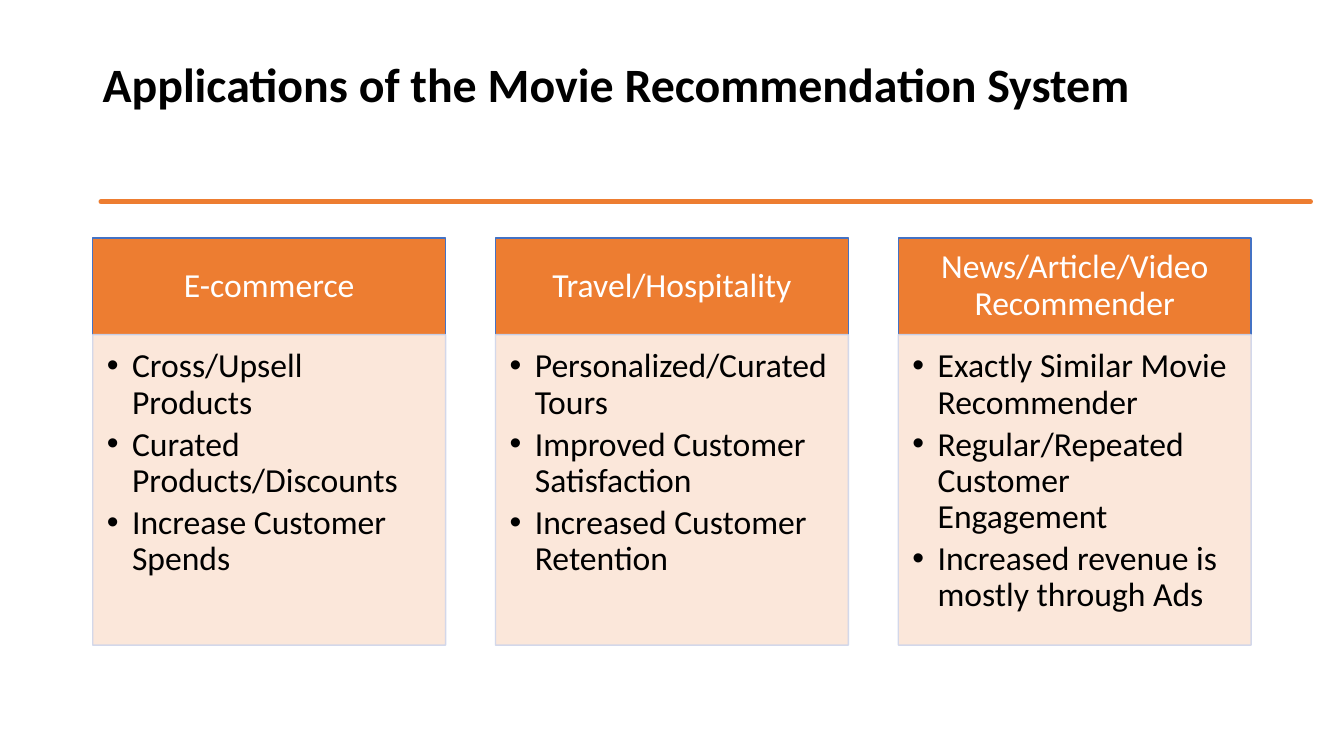
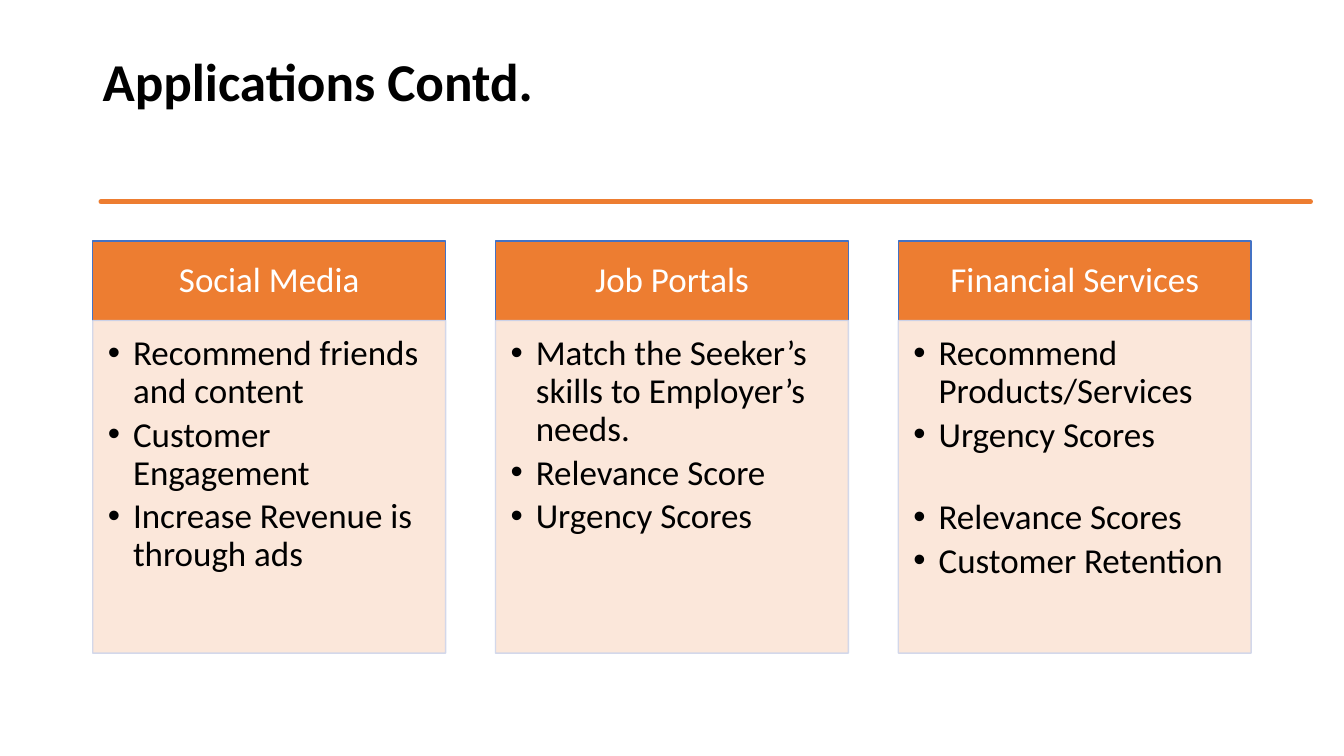
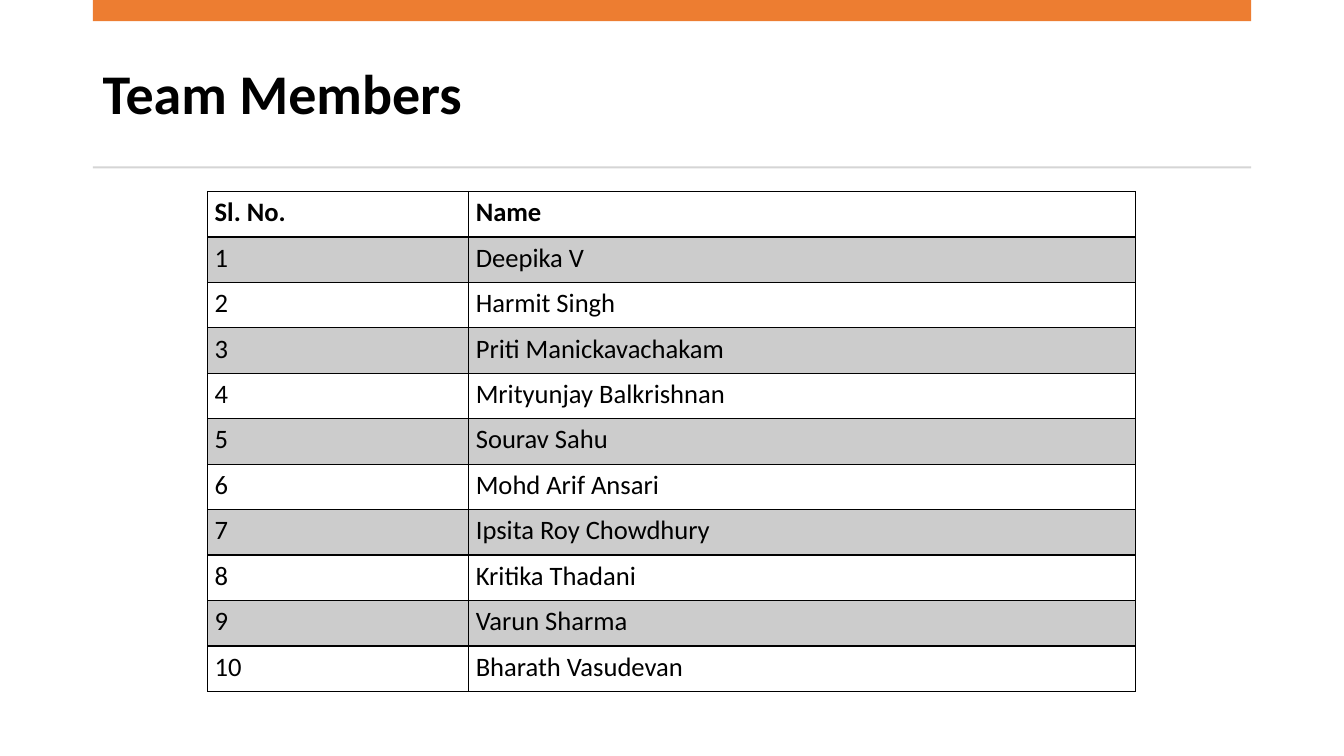
import dataclasses
import typing

import lxml.etree
import pptx
import pptx.dml.color
import pptx.enum.shapes
import pptx.enum.text
import pptx.oxml.ns
import pptx.util

Inches = pptx.util.Inches
Pt = pptx.util.Pt
Align = pptx.enum.text.PP_ALIGN
Anchor = pptx.enum.text.MSO_ANCHOR
qn = pptx.oxml.ns.qn


# Shared look
@dataclasses.dataclass(frozen=True)
class Theme:
    font: str = "Calibri"
    ink: str = "000000"
    white: str = "FFFFFF"
    accent: str = "ED7D31"
    header_edge: str = "4472C4"
    panel: str = "FBE5D6"
    panel_edge: str = "CFD5EA"
    rule: str = "D5D5D5"
    team_title_size: float = 40
    table_size: float = 19
    line_spacing: float = 0.9
    left: float = 0.92
    width: float = 11.49


THEME = Theme()


class Box(typing.NamedTuple):
    left: float
    top: float
    width: float
    height: float

    def lengths(self) -> list[int]:
        return [Inches(value) for value in self]


class Bullet(typing.NamedTuple):
    text: str
    lines_after: int = 0


@dataclasses.dataclass(frozen=True)
class Card:
    heading: str
    bullets: list[Bullet]


@dataclasses.dataclass(frozen=True)
class CardSlide:
    title: str
    title_size: float
    card_size: float
    top: float
    header_height: float
    panel_height: float
    padding: tuple[float, float, float, float]
    cards: list[Card]


# Content
APPLICATIONS = CardSlide(
    "Applications of the Movie Recommendation System", 34.2, 24, 2.36, 0.96, 3.08,
    (0.14, 0.14, 0.19, 0.21),
    [
        Card("E-commerce", [
            Bullet("Cross/Upsell Products"),
            Bullet("Curated Products/Discounts"),
            Bullet("Increase Customer Spends"),
        ]),
        Card("Travel/Hospitality", [
            Bullet("Personalized/Curated Tours"),
            Bullet("Improved Customer Satisfaction"),
            Bullet("Increased Customer Retention"),
        ]),
        Card("News/Article/Video Recommender", [
            Bullet("Exactly Similar Movie Recommender"),
            Bullet("Regular/Repeated Customer Engagement"),
            Bullet("Increased revenue is mostly through Ads"),
        ]),
    ],
)
MORE_APPLICATIONS = CardSlide(
    "Applications Contd.", 38, 25, 2.39, 0.79, 3.3,
    (0.15, 0.15, 0.19, 0.22),
    [
        Card("Social Media", [
            Bullet("Recommend friends and content"),
            Bullet("Customer Engagement"),
            Bullet("Increase Revenue is through ads"),
        ]),
        Card("Job Portals", [
            Bullet("Match the Seeker’s skills to Employer’s needs."),
            Bullet("Relevance Score"),
            Bullet("Urgency Scores"),
        ]),
        Card("Financial Services", [
            Bullet("Recommend Products/Services"),
            Bullet("Urgency Scores", lines_after=1),
            Bullet("Relevance Scores"),
            Bullet("Customer Retention"),
        ]),
    ],
)
MEMBERS = [
    "Deepika V", "Harmit Singh", "Priti Manickavachakam", "Mrityunjay Balkrishnan",
    "Sourav Sahu", "Mohd Arif Ansari", "Ipsita Roy Chowdhury", "Kritika Thadani",
    "Varun Sharma", "Bharath Vasudevan",
]

# Hand-drawn divider: upper edge left to right, lower edge back again
BRUSH_UPPER = [
    (0.73, 1.83), (0.95, 1.82), (1.24, 1.83), (1.6, 1.84), (1.98, 1.83), (2.3, 1.82),
    (2.84, 1.83), (3.61, 1.83), (3.95, 1.82), (4.25, 1.81), (4.55, 1.83), (4.85, 1.85),
    (5.2, 1.83), (5.55, 1.82), (5.8, 1.84), (6.46, 1.83), (7.1, 1.82), (7.44, 1.83),
    (7.75, 1.84), (8.06, 1.83), (8.35, 1.82), (8.68, 1.83), (9.2, 1.82), (9.43, 1.83),
    (9.75, 1.84), (10.29, 1.83), (11.15, 1.83), (11.45, 1.82), (11.86, 1.83), (12.6, 1.83),
]
BRUSH_LOWER = [
    (12.6, 1.85), (12.3, 1.86), (11.74, 1.85), (11.36, 1.85), (10.9, 1.87), (10.38, 1.85),
    (9.65, 1.86), (9.13, 1.85), (8.0, 1.85), (7.6, 1.86), (7.11, 1.85), (6.5, 1.86),
    (5.87, 1.85), (5.35, 1.86), (5.0, 1.85), (4.4, 1.86), (4.0, 1.85), (3.64, 1.86),
    (2.78, 1.85), (2.2, 1.87), (1.8, 1.85), (1.5, 1.85), (1.15, 1.84), (0.73, 1.85),
]


def rgb(color: str) -> pptx.dml.color.RGBColor:
    return pptx.dml.color.RGBColor.from_string(color)


def line_height(size: float) -> float:
    """Height in points of one line of the theme font."""
    return size * 1.22 * THEME.line_spacing


def set_alpha(properties, percent: int) -> None:
    """Make the solid fill directly under the given element translucent."""
    color = properties.find(qn("a:solidFill")).find(qn("a:srgbClr"))
    lxml.etree.SubElement(color, qn("a:alpha"), val=str(percent * 1000))


def write_text(frame, items: list[Bullet], *, size: float, color: str = THEME.ink,
               bold: bool = False, align=Align.LEFT, anchor=Anchor.TOP,
               spacing: float = THEME.line_spacing, bulleted: bool = False,
               insets: tuple[float, float, float, float] = (0.1, 0.05, 0.1, 0.05)) -> None:
    frame.word_wrap = True
    frame.vertical_anchor = anchor
    (frame.margin_left, frame.margin_top,
     frame.margin_right, frame.margin_bottom) = map(Inches, insets)
    for index, item in enumerate(items):
        paragraph = frame.add_paragraph() if index else frame.paragraphs[0]
        paragraph.alignment = align
        paragraph.line_spacing = spacing
        run = paragraph.add_run()
        run.text = item.text
        run.font.name = THEME.font
        run.font.size = Pt(size)
        run.font.bold = bold
        run.font.color.rgb = rgb(color)
        if bulleted:
            paragraph.space_after = Pt(0.17 * size + item.lines_after * line_height(size))
            properties = paragraph._p.get_or_add_pPr()
            properties.set("marL", str(Inches(0.25)))
            properties.set("indent", str(-Inches(0.25)))
            lxml.etree.SubElement(properties, qn("a:buFont"), typeface="Arial")
            lxml.etree.SubElement(properties, qn("a:buChar"), char="•")


def paint(shape, fill: str, edge: str | None = None, weight: float = 1):
    shape.shadow.inherit = False
    shape.fill.solid()
    shape.fill.fore_color.rgb = rgb(fill)
    if edge:
        shape.line.color.rgb = rgb(edge)
        shape.line.width = Pt(weight)
    else:
        shape.line.fill.background()
    return shape


def add_rectangle(slide, box: Box, fill: str, edge: str | None = None):
    kind = pptx.enum.shapes.MSO_SHAPE.RECTANGLE
    return paint(slide.shapes.add_shape(kind, *box.lengths()), fill, edge)


def add_title(slide, title: str, box: Box, size: float, bottom: float = 0.05) -> None:
    heading = slide.shapes.add_textbox(*box.lengths())
    write_text(heading.text_frame, [Bullet(title)], size=size, bold=True,
               anchor=Anchor.MIDDLE, insets=(0.1, 0.05, 0.1, bottom))


def add_brush_line(slide) -> None:
    builder = slide.shapes.build_freeform(*BRUSH_UPPER[0], scale=Inches(1))
    builder.add_line_segments(BRUSH_UPPER[1:] + BRUSH_LOWER, close=True)
    paint(builder.convert_to_shape(), THEME.accent, THEME.accent, 3.25)


def add_card(slide, card: Card, left: float, width: float, layout: CardSlide) -> None:
    header = add_rectangle(slide, Box(left, layout.top, width, layout.header_height),
                           THEME.accent, THEME.header_edge)
    write_text(header.text_frame, [Bullet(card.heading)], size=layout.card_size,
               color=THEME.white, align=Align.CENTER, anchor=Anchor.MIDDLE,
               insets=(0.19, 0.11, 0.19, 0.11))
    panel_top = layout.top + layout.header_height
    panel = add_rectangle(slide, Box(left, panel_top, width, layout.panel_height),
                          THEME.panel, THEME.panel_edge)
    set_alpha(panel._element.spPr, 90)
    set_alpha(panel._element.spPr.find(qn("a:ln")), 90)
    write_text(panel.text_frame, card.bullets, size=layout.card_size, bulleted=True,
               insets=layout.padding)


def build_card_slide(slide, content: CardSlide) -> None:
    # The title sits one line above the middle of its box's lower half
    add_title(slide, content.title, Box(THEME.left, 0.4, 11.5, 1.45), content.title_size,
              bottom=0.05 + line_height(content.title_size) / 72)
    add_brush_line(slide)
    card_width = 3.5
    pitch = (THEME.width - card_width) / (len(content.cards) - 1)
    for index, card in enumerate(content.cards):
        add_card(slide, card, THEME.left + index * pitch, card_width, content)


def add_borders(cell, weights: dict[str, float]) -> None:
    properties = cell._tc.get_or_add_tcPr()
    for side, weight in weights.items():
        border = lxml.etree.SubElement(properties, qn(f"a:ln{side}"), w=str(Pt(weight)))
        fill = lxml.etree.SubElement(border, qn("a:solidFill"))
        lxml.etree.SubElement(fill, qn("a:srgbClr"), val=THEME.ink)


def build_team_slide(slide) -> None:
    add_title(slide, "Team Members", Box(THEME.left, 0.37, THEME.width, 1.18),
              THEME.team_title_size)
    add_rectangle(slide, Box(THEME.left, 0, THEME.width, 0.21), THEME.accent)
    add_rectangle(slide, Box(THEME.left, 1.65, THEME.width, 0.02), THEME.rule)

    # Member table
    rows = [("Sl. No.", "Name")]
    rows += [(str(number), name) for number, name in enumerate(MEMBERS, start=1)]
    team = slide.shapes.add_table(len(rows), 2, *Box(2.06, 1.9, 9.2, 4.96).lengths()).table
    team.first_row = team.horz_banding = False
    for column, width in zip(team.columns, (2.59, 6.61)):
        column.width = Inches(width)
    for row_index, row in enumerate(rows):
        is_header = row_index == 0
        for column_index, text in enumerate(row):
            cell = team.cell(row_index, column_index)
            insets = (0.07, 0.05, 0.07, 0.05)
            write_text(cell.text_frame, [Bullet(text)], size=THEME.table_size,
                       bold=is_header, spacing=1.0)
            (cell.margin_left, cell.margin_top,
             cell.margin_right, cell.margin_bottom) = map(Inches, insets)
            add_borders(cell, {"L": 1, "R": 1, "T": 2 if row_index == 1 else 1,
                               "B": 2 if is_header else 1})
            if row_index % 2:
                cell.fill.solid()
                cell.fill.fore_color.rgb = rgb(THEME.ink)
                set_alpha(cell._tc.tcPr, 20)
            else:
                cell.fill.background()


def main() -> None:
    deck = pptx.Presentation()
    deck.slide_width, deck.slide_height = Inches(13.33), Inches(7.5)
    blank = deck.slide_layouts[6]
    for content in (APPLICATIONS, MORE_APPLICATIONS):
        build_card_slide(deck.slides.add_slide(blank), content)
    build_team_slide(deck.slides.add_slide(blank))
    deck.save("out.pptx")


if __name__ == "__main__":
    main()
